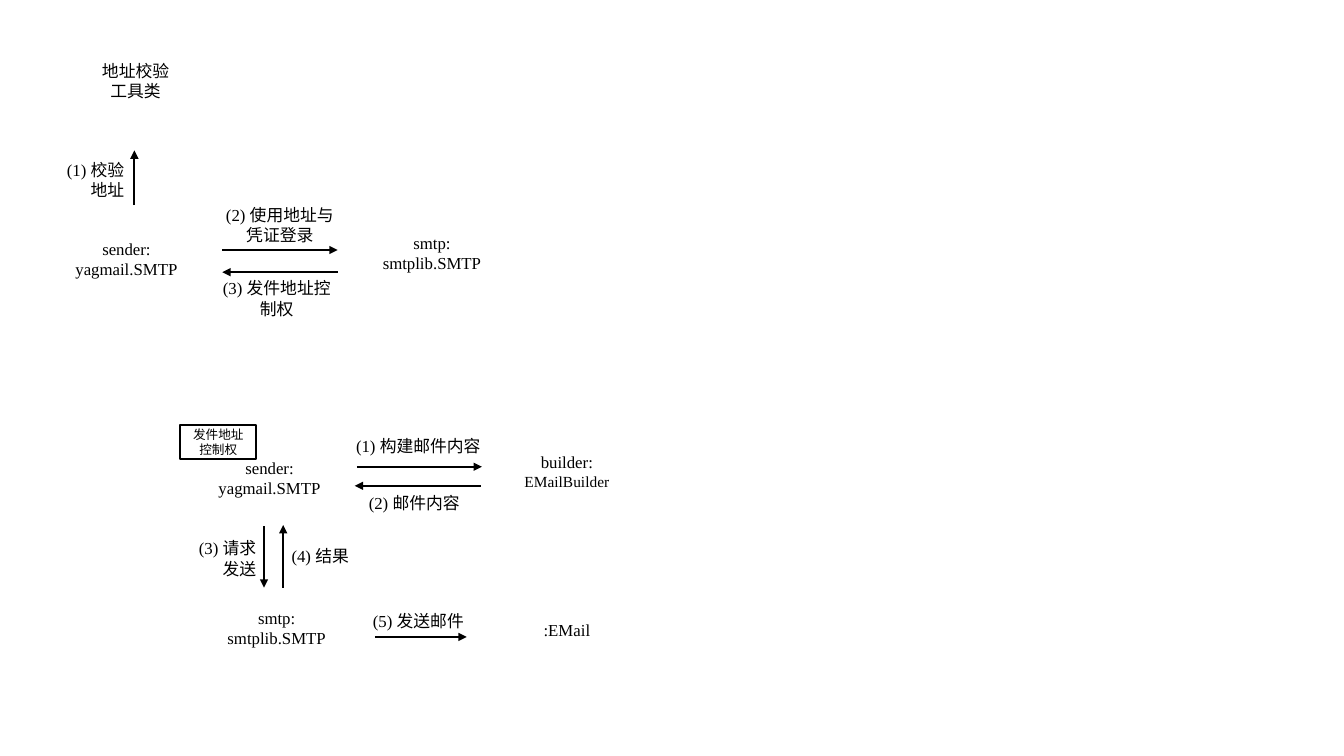
"""Build the slide of two mail-sending collaboration diagrams."""
from pptx import Presentation
from pptx.dml.color import RGBColor
from pptx.enum import shapes, text
from pptx.oxml import ns
from pptx.util import Pt
from lxml import etree

LATIN, CHINESE = "Times New Roman", "Noto Sans CJK SC"
CENTER, RIGHT = text.PP_ALIGN.CENTER, text.PP_ALIGN.RIGHT


def color(value):
    return RGBColor.from_string(value)


def write(frame, lines, align, sizes, latin):
    frame.word_wrap = True
    for i, (line, size) in enumerate(zip(lines, sizes)):
        paragraph = frame.paragraphs[0] if i == 0 else frame.add_paragraph()
        paragraph.alignment = align
        run = paragraph.add_run()
        run.text = line
        for key, value in {"size": Pt(size), "name": latin}.items():
            setattr(run.font, key, value)
        run.font.color.rgb = color("000000")
        etree.SubElement(run.font._element, ns.qn("a:ea"), typeface=CHINESE)


prs = Presentation()
prs.slide_width, prs.slide_height = Pt(960), Pt(540)
slide = prs.slides.add_slide(prs.slide_layouts[6])

login_labels = [
    (43.2, 167, 94.3, 36, ["sender:", "yagmail.SMTP"], CENTER),
    (31, 110.2, 64.8, 36, ["(1) 校验地址"], RIGHT),
    (261.4, 162.7, 94.3, 36, ["smtp:", "smtplib.SMTP"], CENTER),
    (49.7, 39.6, 94.3, 36, ["地址校验", "工具类"], CENTER),
    (152, 142.6, 95.8, 36, ["(2) 使用地址与凭证登录"], CENTER),
    (149.8, 195.1, 95.8, 36, ["(3) 发件地址控制权"], CENTER),
]
login_arrows = [
    (96, 146.5, 96, 107.5),
    (158.8, 178.6, 241.2, 178.6),
    (241.2, 194.4, 158.8, 194.4),
]
sending_labels = [
    (145.4, 323.3, 94.3, 36, ["sender:", "yagmail.SMTP"], CENTER),
    (357.8, 439.2, 94.3, 21.6, [":EMail"], CENTER),
    (240.5, 307.4, 116.6, 21.6, ["(1) 构建邮件内容"], CENTER),
    (357.8, 319, 94.3, 35.3, ["builder:", "EMailBuilder"], CENTER),
    (251.3, 348.5, 89.3, 21.6, ["(2) 邮件内容"], CENTER),
    (150.5, 430.6, 94.3, 36, ["smtp:", "smtplib.SMTP"], CENTER),
    (125.3, 380.9, 64.8, 36, ["(3) 请求发送"], RIGHT),
    (191.5, 386.6, 64.8, 21.6, ["(4) 结果"], RIGHT),
    (244.1, 432.7, 94.3, 21.6, ["(5) 发送邮件"], RIGHT),
]
sending_arrows = [
    (254.9, 333.4, 344.2, 333.4),
    (343.4, 347, 253.4, 347),
    (188.6, 375.8, 188.6, 419.8),
    (202.3, 419.8, 202.3, 375.1),
    (267.8, 455, 333.4, 455),
]

for labels, arrows in ((login_labels, login_arrows), (sending_labels, sending_arrows)):
    diagram = slide.shapes.add_group_shape()
    for *place, lines, align in labels:
        label = diagram.shapes.add_textbox(*map(Pt, place))
        sizes = [11 if line == "EMailBuilder" else 12 for line in lines]
        latin = CHINESE if lines[0] == "地址校验" else LATIN
        write(label.text_frame, lines, align, sizes, latin)
    for ends in arrows:
        arrow = diagram.shapes.add_connector(
            shapes.MSO_CONNECTOR.STRAIGHT, *map(Pt, ends))
        arrow.line.width = Pt(1.5)
        arrow.line.color.rgb = color("000000")
        etree.SubElement(arrow.line._get_or_add_ln(), ns.qn("a:tailEnd"), type="triangle")
        etree.SubElement(arrow._element.spPr, ns.qn("a:effectLst"))

control = diagram.shapes.add_shape(
    shapes.MSO_SHAPE.RECTANGLE, *map(Pt, (128.9, 303.8, 54, 23.8)))
control.shadow.inherit = False
control.fill.solid()
control.fill.fore_color.rgb = color("FFFFFF")
control.line.color.rgb = color("000000")
control.line.width = Pt(1.5)
control.text_frame.vertical_anchor = text.MSO_ANCHOR.MIDDLE
write(control.text_frame, ["发件地址", "控制权"], CENTER, [9, 9], CHINESE)

prs.save("out.pptx")
